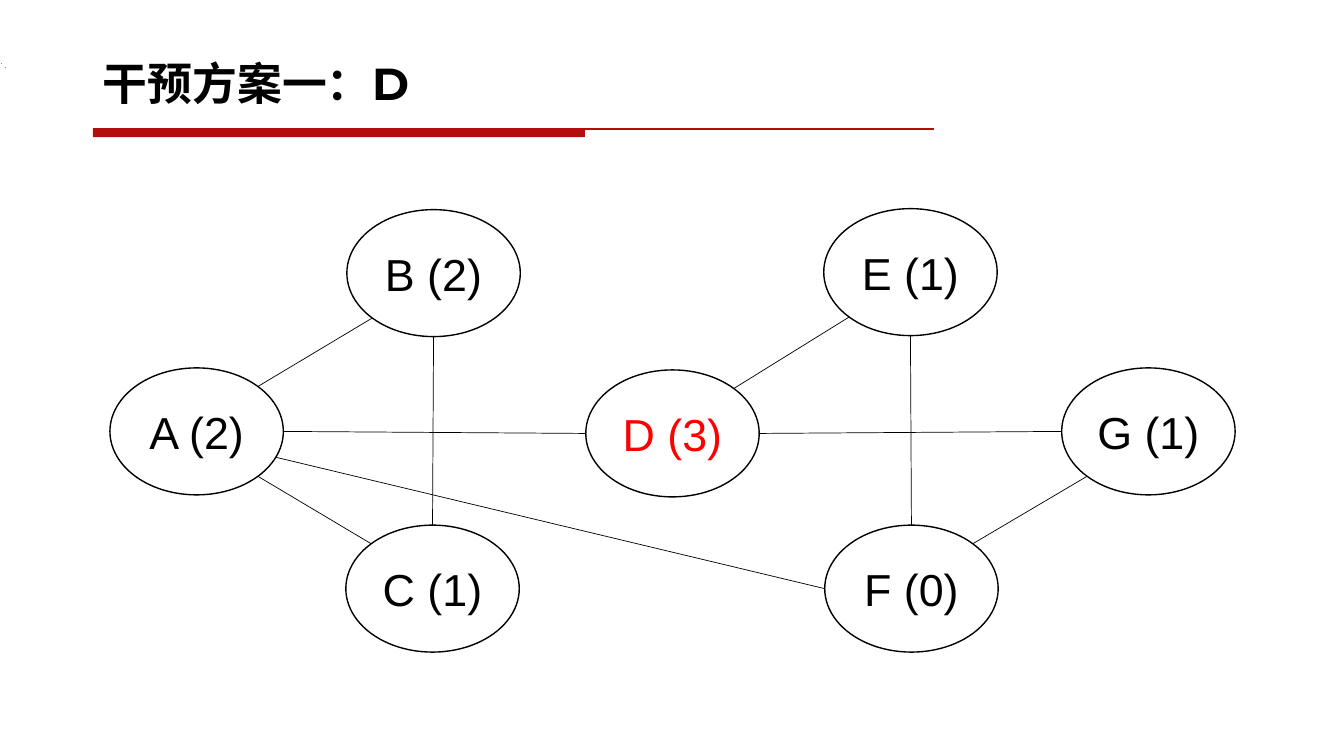
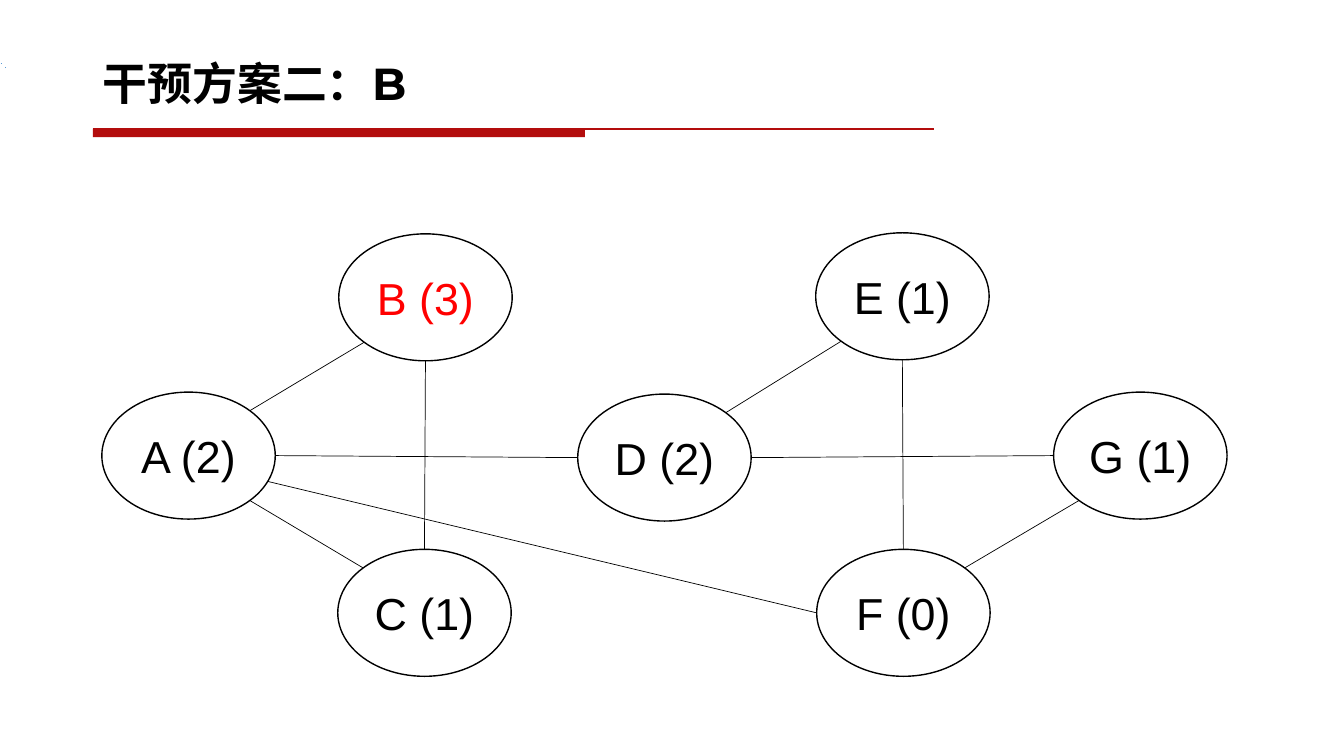
from dataclasses import dataclass
from math import cos, radians, sin

from lxml.etree import SubElement
from pptx import Presentation
from pptx.dml.color import RGBColor
from pptx.enum.shapes import MSO_CONNECTOR, MSO_SHAPE
from pptx.enum.text import MSO_ANCHOR, PP_ALIGN
from pptx.oxml.ns import qn
from pptx.util import Inches, Pt


@dataclass(frozen=True)
class Theme:
    ink: str = "000000"
    focus: str = "FF0000"
    band: str = "B30D0D"
    speck: str = "5B9BD5"
    head: str = "Montserrat"
    body: str = "Arial"
    size: int = 32
    thin: float = 0.5
    rule: float = 0.75
    edge: float = 1


class Deck:
    wide, high = 1.72, 1.26

    def __init__(self, theme):
        self.theme = theme
        self.file = Presentation()
        self.file.slide_width = Inches(13.33)
        self.file.slide_height = Inches(7.5)
        self.slide = None

    def page(self, title):
        self.slide = self.file.slides.add_slide(self.file.slide_layouts[5])
        self.bar()
        self.title(title)
        for x, y in ((0.05, 0.67), (0.01, 0.63)):
            self.line((x, y), (x + 0.01, y), self.theme.speck, self.theme.thin)

    def bar(self):
        box = self.slide.shapes.add_shape(
            MSO_SHAPE.RECTANGLE, Inches(0.92), Inches(1.28), Inches(4.88), Inches(0.08))
        box.shadow.inherit = False
        box.fill.solid()
        box.fill.fore_color.rgb = RGBColor.from_string(self.theme.band)
        box.line.fill.background()
        self.line((0.92, 1.28), (9.26, 1.28), self.theme.band, self.theme.rule)

    def title(self, text):
        box = self.slide.shapes.title
        box.left, box.top = Inches(0.92), Inches(0.38)
        box.width, box.height = Inches(11.5), Inches(0.95)
        box.text_frame.vertical_anchor = MSO_ANCHOR.MIDDLE
        para = box.text_frame.paragraphs[0]
        para.alignment = PP_ALIGN.LEFT
        para.line_spacing = 0.9
        self.run(para, text, self.theme.head, self.theme.ink, True)

    def run(self, para, text, face, color, bold=False):
        run = para.add_run()
        run.text = text
        font = run.font
        font.name, font.size, font.bold = face, Pt(self.theme.size), bold
        font.color.rgb = RGBColor.from_string(color)

    def line(self, start, end, color, width):
        line = self.slide.shapes.add_connector(
            MSO_CONNECTOR.STRAIGHT, *(Inches(v) for v in (*start, *end)))
        line.line.color.rgb = RGBColor.from_string(color)
        line.line.width = Pt(width)
        SubElement(line._element.spPr, qn("a:effectLst"))
        return line

    def node(self, spot, text, color):
        x, y = spot
        oval = self.slide.shapes.add_shape(
            MSO_SHAPE.OVAL, Inches(x - self.wide / 2), Inches(y - self.high / 2),
            Inches(self.wide), Inches(self.high))
        oval.shadow.inherit = False
        oval.fill.background()
        oval.line.color.rgb = RGBColor.from_string(self.theme.ink)
        oval.line.width = Pt(self.theme.edge)
        frame = oval.text_frame
        frame.word_wrap = False
        frame.vertical_anchor = MSO_ANCHOR.MIDDLE
        para = frame.paragraphs[0]
        para.alignment = PP_ALIGN.CENTER
        self.run(para, text, self.theme.body, color)
        return oval

    def rim(self, spot, angle):
        turn = radians(angle)
        return (spot[0] + self.wide / 2 * cos(turn),
                spot[1] + self.high / 2 * sin(turn))

    def graph(self, counts, focus, shift):
        spots = {name: (x + shift[0], y + shift[1]) for name, (x, y) in SPOTS.items()}
        ovals = {}
        for (name, spot), count in zip(spots.items(), counts):
            color = self.theme.focus if name == focus else self.theme.ink
            ovals[name] = self.node(spot, f"{name} ({count})", color)
        for tail, out, tip, into in EDGES:
            line = self.line(self.rim(spots[tail], out), self.rim(spots[tip], into),
                             self.theme.ink, self.theme.thin)
            if into == -90:
                line.end_connect(ovals[tip], 0)


SPOTS = {
    "A": (1.95, 4.28), "B": (4.3, 2.71), "C": (4.29, 5.84), "D": (6.67, 4.3),
    "E": (9.03, 2.7), "F": (9.04, 5.84), "G": (11.39, 4.28),
}
EDGES = (
    ("A", -45, "B", 135), ("A", 45, "C", -135), ("B", 90, "C", -90),
    ("A", 0, "D", 180), ("D", -45, "E", 135), ("D", 0, "G", 180),
    ("E", 90, "F", -90), ("G", 135, "F", -45), ("F", 180, "A", 24),
)
PLANS = (
    ("干预方案一：D", (2, 2, 1, 3, 1, 0, 1), "D", (0, 0)),
    ("干预方案二：B", (2, 3, 1, 2, 1, 0, 1), "B", (-0.08, 0.24)),
)


def main():
    deck = Deck(Theme())
    for title, counts, focus, shift in PLANS:
        deck.page(title)
        deck.graph(counts, focus, shift)
    deck.file.save("out.pptx")


if __name__ == "__main__":
    main()
